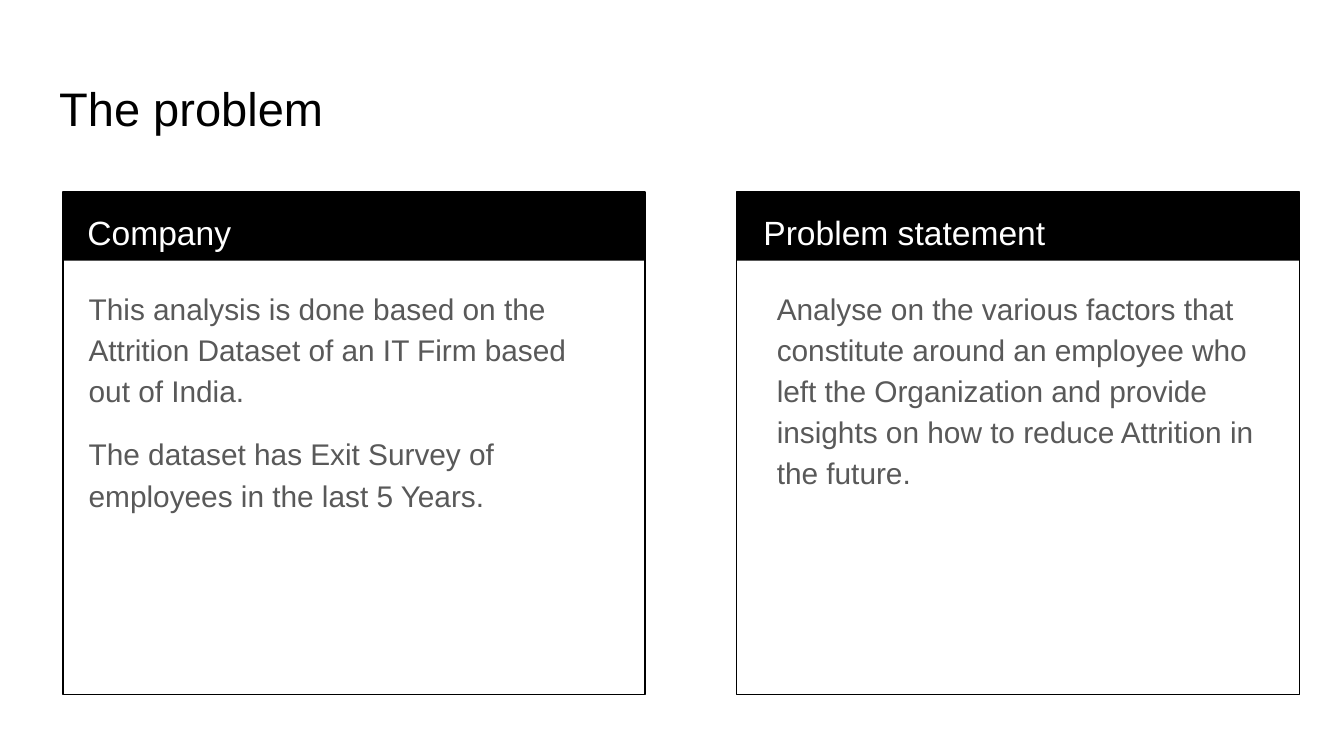
from lxml import etree
from pptx import Presentation
from pptx import util as u
from pptx.dml.color import RGBColor
from pptx.enum import shapes, text
from pptx.oxml.ns import qn

COLORS = {"black": "000000", "white": "FFFFFF", "body": "595959"}
TITLE_STYLE = {"size": u.Pt(25.2), "name": "Arial", "bold": False}
HEADING_STYLE = {"size": u.Pt(18), "name": "Arial", "bold": False}
BODY_STYLE = {"size": u.Pt(16), "name": "Arial", "bold": False}

CARD_TOP, CARD_HEIGHT, HEADER_HEIGHT = 1.43, 3.74, 0.51
HEADING_WIDTH, HEADING_HEIGHT = 2.73, 0.5
BODY_TOP, BODY_HEIGHT = 2.02, 3.06

CARDS = [
    {
        "left": 0.47, "width": 4.33,
        "heading": "Company", "heading_left": 0.55,
        "body_left": 0.56, "body_width": 3.81,
        "body": [
            "This analysis is done based on the Attrition Dataset of an IT Firm "
            "based out of India.",
            "The dataset has Exit Survey of employees in the last 5 Years.",
        ],
    },
    {
        "left": 5.48, "width": 4.19,
        "heading": "Problem statement", "heading_left": 5.58,
        "body_left": 5.68, "body_width": 3.9,
        "body": [
            "Analyse on the various factors that constitute around an employee "
            "who left the Organization and provide insights on how to reduce "
            "Attrition in the future.",
        ],
    },
]


def rgb(name):
    return RGBColor.from_string(COLORS[name])


def place(shape, left, top, width, height):
    box = {"left": left, "top": top, "width": width, "height": height}
    for side, inches in box.items():
        setattr(shape, side, u.Inches(inches))


def remove_bullet(paragraph):
    properties = paragraph._p.get_or_add_pPr()
    properties.set("marL", "0")
    properties.set("indent", "0")
    etree.SubElement(properties, qn("a:buNone"))


def fill_placeholder(placeholder, box, paragraphs, style, color, line_spacing=1.15):
    """Move a placeholder to the box and to the front, and set its text."""
    place(placeholder, *box)
    frame = placeholder.text_frame
    frame.text = "\n".join(paragraphs)
    frame.word_wrap = True
    frame.auto_size = text.MSO_AUTO_SIZE.NONE
    frame.vertical_anchor = text.MSO_ANCHOR.TOP
    for side in ("left", "top", "right", "bottom"):
        setattr(frame, f"margin_{side}", u.Inches(0.1))
    for number, paragraph in enumerate(frame.paragraphs):
        paragraph.alignment = text.PP_ALIGN.LEFT
        paragraph.line_spacing = line_spacing
        paragraph.space_before = u.Pt(12 if number else 0)
        remove_bullet(paragraph)
        font = paragraph.runs[0].font
        for attribute, value in style.items():
            setattr(font, attribute, value)
        font.color.rgb = rgb(color)
    element = placeholder._element
    element.getparent().append(element)


def add_rectangle(group, left, top, width, height):
    rectangle = group.shapes.add_shape(
        shapes.MSO_SHAPE.RECTANGLE, *map(u.Inches, (left, top, width, height)))
    rectangle.shadow.inherit = False
    return rectangle


def add_card(slide, left, width):
    """Group a black header band with an outlined frame."""
    group = slide.shapes.add_group_shape()
    header = add_rectangle(group, left, CARD_TOP, width, HEADER_HEIGHT)
    header.fill.solid()
    header.fill.fore_color.rgb = rgb("black")
    header.line.fill.background()
    outline = add_rectangle(group, left, CARD_TOP, width, CARD_HEIGHT)
    outline.fill.background()
    outline.line.color.rgb = rgb("black")
    outline.line.width = u.Pt(0.75)


def main():
    deck = Presentation()
    deck.slide_width = u.Inches(10)
    deck.slide_height = deck.slide_width * 9 // 16
    comparison_layout = deck.slide_layouts[4]
    slide = deck.slides.add_slide(comparison_layout)
    title, *bodies = slide.placeholders

    fill_placeholder(title, (0.34, 0.49, 9.32, 0.63), ["The problem"],
                     TITLE_STYLE, "black", line_spacing=1.0)
    for card, heading, body in zip(CARDS, bodies[::2], bodies[1::2]):
        add_card(slide, card["left"], card["width"])
        fill_placeholder(
            heading,
            (card["heading_left"], CARD_TOP, HEADING_WIDTH, HEADING_HEIGHT),
            [card["heading"]], HEADING_STYLE, "white")
        fill_placeholder(
            body,
            (card["body_left"], BODY_TOP, card["body_width"], BODY_HEIGHT),
            card["body"], BODY_STYLE, "body")

    deck.save("out.pptx")


if __name__ == "__main__":
    main()
